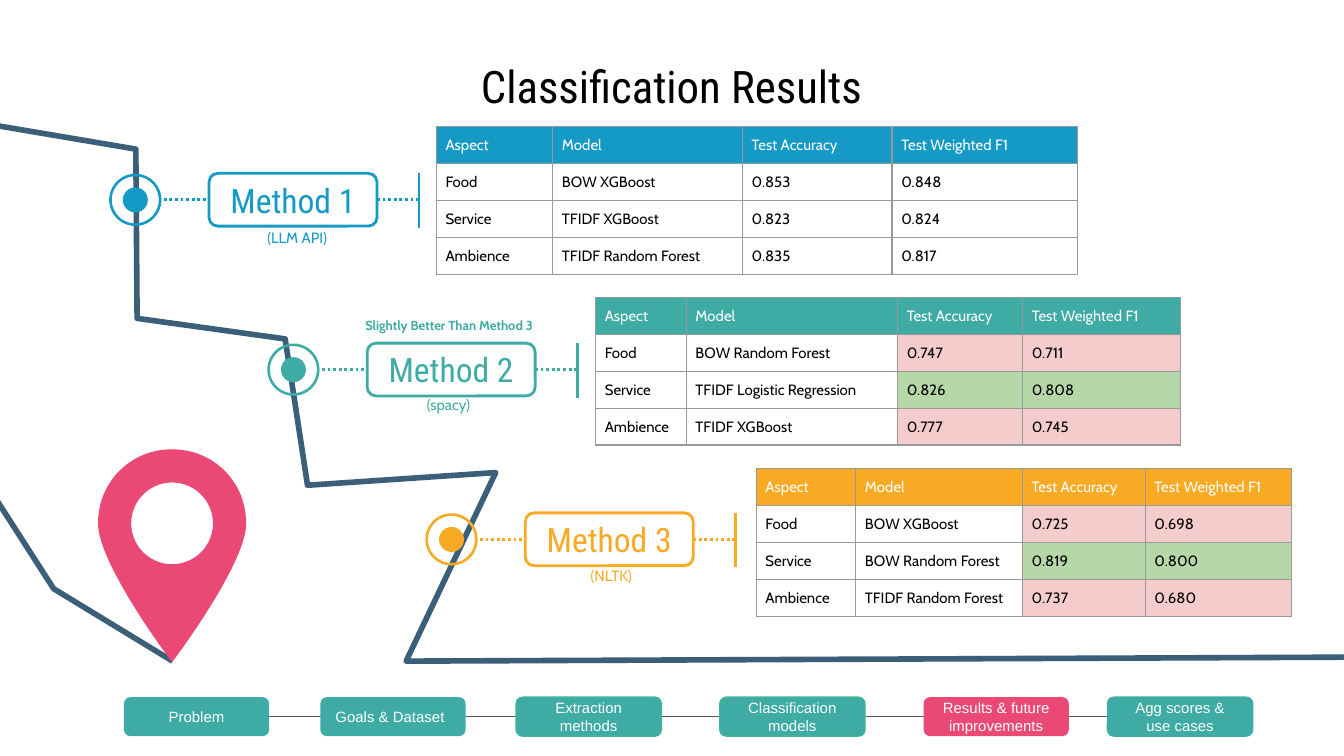
from math import cos, pi, sin

from lxml.etree import SubElement
from pptx import Presentation
from pptx.dml.color import RGBColor
from pptx.enum.dml import MSO_LINE
from pptx.enum.shapes import MSO_CONNECTOR, MSO_SHAPE
from pptx.enum.text import MSO_ANCHOR, PP_ALIGN
from pptx.oxml.ns import qn
from pptx.util import Pt

COLORS = {"blue": "159AC6", "teal": "3FABA5", "orange": "F8AA25", "pink": "E94974",
          "road": "3C5F79", "grid": "999999", "link": "595959", "edge": "42B597",
          "low": "F4CCCC", "high": "B6D7A8", "white": "FFFFFF", "black": "000000"}
HEADER = ["Aspect", "Model", "Test Accuracy", "Test Weighted F1"]
METHODS = [
    {"color": "blue", "note": ("(LLM API)", 136.2, 117.4, 50), "marked": False,
     "at": (233.7, 67.8), "cols": [62.4, 101.6, 80.2, 99.4],
     "rows": [["Food", "BOW XGBoost", "0.853", "0.848"],
              ["Service", "TFIDF XGBoost", "0.823", "0.824"],
              ["Ambience", "TFIDF Random Forest", "0.835", "0.817"]]},
    {"color": "teal", "note": ("(spacy)", 221.6, 207.1, 43), "marked": True,
     "at": (319, 159.3), "cols": [48.6, 113.2, 67, 84.7],
     "rows": [["Food", "BOW Random Forest", "0.747", "0.711"],
              ["Service", "TFIDF Logistic Regression", "0.826", "0.808"],
              ["Ambience", "TFIDF XGBoost", "0.777", "0.745"]]},
    {"color": "orange", "note": ("(NLTK)", 309.3, 298.7, 43), "marked": True,
     "at": (405.1, 251), "cols": [53.3, 89.3, 65.8, 78.4],
     "rows": [["Food", "BOW XGBoost", "0.725", "0.698"],
              ["Service", "BOW Random Forest", "0.819", "0.800"],
              ["Ambience", "TFIDF Random Forest", "0.737", "0.680"]]},
]
STEPS = [("Problem", 66.4, "teal", None),
         ("Goals & Dataset", 171.6, "teal", None),
         ("Extraction methods", 276.5, "teal", "edge"),
         ("Classification models", 385.6, "teal", "edge"),
         ("Results & future improvements", 494.8, "pink", None),
         ("Agg scores & use cases", 593.3, "teal", "teal")]
ROADS = [[(-3.6, 67), (72.8, 79.9), (73.5, 170.6), (152.8, 181.6), (164.8, 260),
          (265.6, 253.2), (217.6, 354.2), (721.4, 352.1)],
         [(92.5, 354.2), (28.8, 315.4), (-3.6, 265)]]


def rgb(name):
    """Return the colour of that name."""
    return RGBColor.from_string(COLORS[name])


def apply(obj, values):
    """Set each attribute in values on obj."""
    for name, value in values.items():
        setattr(obj, name, value)


def paint(sp, fill=None, line=None, width=0.75):
    """Set a shape's fill and line and drop its shadow."""
    sp.shadow.inherit = False
    for part, color in ((sp.fill, fill), (sp.line.fill, line)):
        if color:
            part.solid()
            part.fore_color.rgb = rgb(color)
        else:
            part.background()
    if line:
        sp.line.width = Pt(width)


def write(tf, text, font, size, color, align=PP_ALIGN.LEFT, anchor=MSO_ANCHOR.TOP, bold=False):
    """Put one formatted paragraph in a text frame."""
    margins = {f"margin_{side}": Pt(7.2) for side in ("left", "right", "top", "bottom")}
    apply(tf, {"word_wrap": True, "vertical_anchor": anchor, **margins})
    p = tf.paragraphs[0]
    p.alignment = align
    r = p.add_run()
    r.text = text
    apply(r.font, {"name": font, "size": Pt(size), "bold": bold})
    r.font.color.rgb = rgb(color)


def add_label(s, text, x, y, w, h, size, color, bold=False):
    """Add a plain text box."""
    tb = s.shapes.add_textbox(Pt(x), Pt(y), Pt(w), Pt(h))
    write(tb.text_frame, text, "Cabin", size, color, bold=bold)


def add_preset(s, kind, x, y, w, h, fill, line=None, width=0.75):
    """Add a painted preset shape."""
    sp = s.shapes.add_shape(kind, Pt(x), Pt(y), Pt(w), Pt(h))
    paint(sp, fill, line, width)
    return sp


def add_line(s, x1, y1, x2, y2, color, width, dash=None):
    """Add a straight connector without shadow."""
    cn = s.shapes.add_connector(MSO_CONNECTOR.STRAIGHT, Pt(x1), Pt(y1), Pt(x2), Pt(y2))
    apply(cn.line, {"width": Pt(width), "dash_style": dash})
    cn.line.color.rgb = rgb(color)
    SubElement(cn._element.spPr, qn("a:effectLst"))
    return cn


def add_outline(s, contours, closed, **look):
    """Add a freeform made of one or more contours."""
    contours = [[(Pt(x), Pt(y)) for x, y in points] for points in contours]
    fb = s.shapes.build_freeform(*contours[0][0])
    for i, points in enumerate(contours):
        if i:
            fb.move_to(*points[0])
        fb.add_line_segments(points[1:], close=closed)
    paint(fb.convert_to_shape(), **look)


def bezier(a, b, c, d, n=24):
    """Return points along a cubic curve."""
    steps = [i / n for i in range(n + 1)]
    return [tuple((1 - t) ** 3 * a[k] + 3 * t * (1 - t) ** 2 * b[k]
                  + 3 * t * t * (1 - t) * c[k] + t ** 3 * d[k] for k in (0, 1)) for t in steps]


def add_pin(s, cx, cy, half, hole, tip):
    """Add a map pin with a round hole."""
    k = half * 0.56
    left = bezier((cx, cy - half), (cx - k, cy - half), (cx - half, cy - k), (cx - half, cy))
    left += bezier((cx - half, cy), (cx - half, cy + 22), (cx, tip), (cx, tip))[1:]
    right = [(2 * cx - x, y) for x, y in reversed(left[1:-1])]
    circle = [(cx + hole * cos(pi * i / 36), cy + hole * sin(pi * i / 36)) for i in range(72)]
    add_outline(s, [left + right, circle], True, fill="pink")


def add_method(s, number, color, cx, cy):
    """Add a bullseye, a dotted line, an end bar and a method box."""
    add_line(s, cx + 152, cy, cx + 13.8, cy, color, 1.5, MSO_LINE.ROUND_DOT)
    add_preset(s, MSO_SHAPE.OVAL, cx - 6.7, cy - 6.7, 13.4, 13.4, color)
    ring = add_preset(s, MSO_SHAPE.DONUT, cx - 14, cy - 14, 28, 28, color)
    ring.adjustments[0] = 0.05
    add_line(s, cx + 152, cy - 14.2, cx + 152, cy + 15, color, 1.5)
    box = add_preset(s, MSO_SHAPE.ROUNDED_RECTANGLE, cx + 39.5, cy - 14.2, 90, 28.3,
                     "white", color, 1.5)
    write(box.text_frame, f"Method {number}", "Roboto Condensed", 18, color,
          PP_ALIGN.CENTER, MSO_ANCHOR.MIDDLE)


def format_cell(cell, text, color, fill):
    """Write a table cell with grey borders and an optional fill."""
    write(cell.text_frame, text, "Cabin", 8, color)
    apply(cell, {f"margin_{side}": Pt(5) for side in ("left", "right", "top", "bottom")})
    tc_pr = cell._tc.get_or_add_tcPr()
    for side in "LRTB":
        ln = SubElement(tc_pr, qn(f"a:ln{side}"), w=str(Pt(0.75)))
        SubElement(SubElement(ln, qn("a:solidFill")), qn("a:srgbClr"), val=COLORS["grid"])
    if fill:
        cell.fill.solid()
        cell.fill.fore_color.rgb = rgb(fill)
    else:
        cell.fill.background()


def add_scores(s, at, cols, rows, color, marked):
    """Add a score table with a coloured header."""
    rows = [HEADER] + rows
    x, y = at
    table = s.shapes.add_table(len(rows), len(cols), Pt(x), Pt(y), Pt(sum(cols)),
                               Pt(19.8 * len(rows))).table
    apply(table, {"first_row": False, "horz_banding": False})
    for col, width in zip(table.columns, cols):
        col.width = Pt(width)
    for i, row in enumerate(rows):
        table.rows[i].height = Pt(19.8)
        mark = "high" if row[0] == "Service" else "low"
        for j, text in enumerate(row):
            fill = color if i == 0 else mark if marked and j > 1 else None
            format_cell(table.cell(i, j), text, "black" if i else "white", fill)


def add_steps(s):
    """Add the row of steps joined by one line behind them."""
    link = add_line(s, 66.4, 383.9, 671, 383.9, "link", 0.75)
    boxes = []
    for text, x, fill, line in STEPS:
        box = add_preset(s, MSO_SHAPE.ROUNDED_RECTANGLE, x, 373.5, 77.8, 20.9, fill, line)
        align = PP_ALIGN.LEFT if text == "Goals & Dataset" else PP_ALIGN.CENTER
        write(box.text_frame, text, "Arial", 8, "white", align, MSO_ANCHOR.MIDDLE)
        boxes.append(box)
    link.begin_connect(boxes[0], 1)
    link.end_connect(boxes[-1], 3)


def main():
    """Build the slide and save it."""
    prs = Presentation()
    apply(prs, {"slide_width": Pt(720), "slide_height": Pt(405)})
    s = prs.slides.add_slide(prs.slide_layouts[5])
    title = s.shapes.title
    apply(title, {"left": Pt(167.2), "top": Pt(30.5), "width": Pt(385.2), "height": Pt(30.2)})
    write(title.text_frame, "Classification Results", "Roboto Condensed", 24, "black",
          PP_ALIGN.CENTER, MSO_ANCHOR.MIDDLE)
    for road in ROADS:
        add_outline(s, [road], False, line="road", width=3)
    add_pin(s, 92.2, 280.4, 39.7, 21.9, 354.8)
    for i, m in enumerate(METHODS):
        add_method(s, i + 1, m["color"], 72.5 + 84.7 * i, 107.1 + 90.95 * i)
        add_scores(s, m["at"], m["cols"], m["rows"], m["color"], m["marked"])
        text, x, y, w = m["note"]
        add_label(s, text, x, y, w, 24.5, 8, m["color"])
    add_steps(s)
    add_label(s, "Slightly Better Than Method 3", 188.6, 165.6, 108.7, 23, 7, "teal", True)
    prs.save("out.pptx")


if __name__ == "__main__":
    main()
